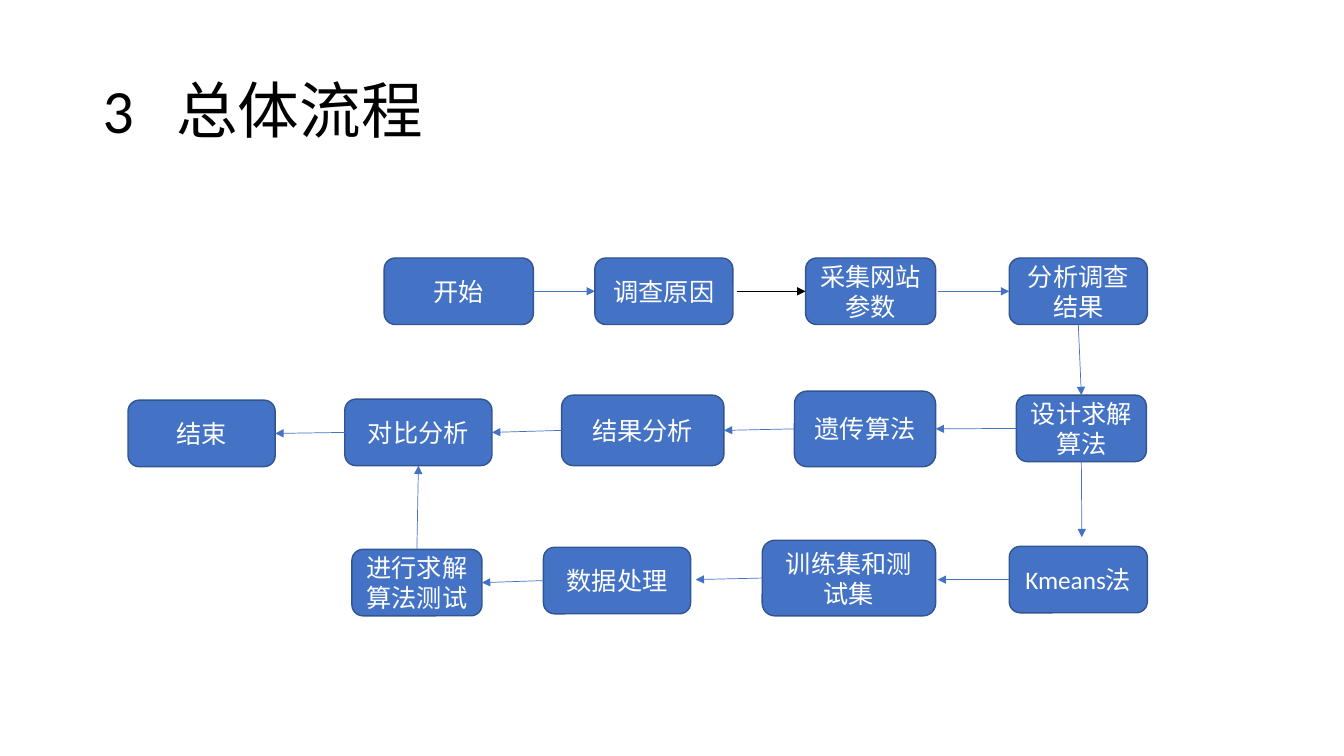
import pptx
import pptx.util
import pptx.dml.color
import pptx.enum.shapes
import pptx.enum.text
import pptx.oxml.ns
from lxml import etree

Inches, Pt = pptx.util.Inches, pptx.util.Pt
RGBColor = pptx.dml.color.RGBColor
BLUE = RGBColor(0x44, 0x72, 0xC4)
DARK_BLUE = RGBColor(0x32, 0x54, 0x91)
BLACK = RGBColor(0, 0, 0)
WHITE = RGBColor(0xFF, 0xFF, 0xFF)
FONT = "Calibri"
TOP, LEFT, BOTTOM, RIGHT = range(4)
STEP_H = 0.66

# Step: left, top, width, height, in inches from the corner of the flow chart
STEPS = {
    "开始": (2.54, 0, 1.48, STEP_H),
    "调查原因": (4.63, 0, 1.37, STEP_H),
    "采集网站参数": (6.72, 0, 1.29, STEP_H),
    "分析调查结果": (8.74, 0, 1.37, STEP_H),
    "设计求解算法": (8.81, 1.36, 1.29, STEP_H),
    "遗传算法": (6.61, 1.32, 1.4, 0.75),
    "结果分析": (4.3, 1.36, 1.61, 0.7),
    "对比分析": (2.15, 1.4, 1.46, STEP_H),
    "结束": (0, 1.41, 1.46, STEP_H),
    "Kmeans法": (8.74, 2.86, 1.37, STEP_H),
    "训练集和测试集": (6.29, 2.8, 1.72, 0.75),
    "数据处理": (4.12, 2.87, 1.46, STEP_H),
    "进行求解算法测试": (2.22, 2.89, 1.29, STEP_H),
}

# Each end is (step, side), or a free point (x, y) that stops short of a step
ARROWS = [
    (("开始", RIGHT), ("调查原因", LEFT), BLUE),
    ((6.04, 0.33), ("采集网站参数", LEFT), BLACK),
    ((8.03, 0.33), ("分析调查结果", LEFT), BLUE),
    (("分析调查结果", BOTTOM), ("设计求解算法", TOP), BLUE),
    (("设计求解算法", LEFT), ("遗传算法", RIGHT), BLUE),
    (("遗传算法", LEFT), ("结果分析", RIGHT), BLUE),
    (("结果分析", LEFT), ("对比分析", RIGHT), BLUE),
    (("对比分析", LEFT), ("结束", RIGHT), BLUE),
    (("设计求解算法", BOTTOM), (9.46, 2.77), BLUE),
    (("Kmeans法", LEFT), (8.03, 3.19), BLUE),
    (("训练集和测试集", LEFT), (5.63, 3.19), BLUE),
    (("数据处理", LEFT), ("进行求解算法测试", RIGHT), BLUE),
    (("进行求解算法测试", TOP), ("对比分析", BOTTOM), BLUE),
]


def add_title(s, x, y, w, h):
    tf = s.shapes.add_textbox(Inches(x), Inches(y), Inches(w), Inches(h)).text_frame
    tf.word_wrap = True
    tf.vertical_anchor = pptx.enum.text.MSO_ANCHOR.MIDDLE
    p = tf.paragraphs[0]
    p.text = "3\t总体流程"
    p.line_spacing = 0.9
    p.font.size, p.font.name = Pt(44), FONT
    p.font.color.rgb = BLACK
    # Tab stop between the number and the heading
    qn = pptx.oxml.ns.qn
    stops = etree.Element(qn("a:tabLst"))
    etree.SubElement(stops, qn("a:tab"), pos=str(Inches(0.73)), algn="l")
    p._p.pPr.find(qn("a:defRPr")).addprevious(stops)


def add_step(s, text, x, y, w, h):
    sp = s.shapes.add_shape(pptx.enum.shapes.MSO_SHAPE.ROUNDED_RECTANGLE,
                            Inches(x), Inches(y), Inches(w), Inches(h))
    sp.shadow.inherit = False
    sp.fill.solid()
    sp.fill.fore_color.rgb = BLUE
    sp.line.color.rgb = DARK_BLUE
    sp.line.width = Pt(1)
    p = sp.text_frame.paragraphs[0]
    p.text = text
    p.alignment = pptx.enum.text.PP_ALIGN.CENTER
    p.font.size, p.font.name = Pt(18), FONT
    p.font.color.rgb = WHITE
    return sp


def side_middle(sp, side):
    across = {LEFT: 0, RIGHT: 1}.get(side, 0.5)
    down = {TOP: 0, BOTTOM: 1}.get(side, 0.5)
    return int(sp.left + across * sp.width), int(sp.top + down * sp.height)


def add_arrow(s, steps, x, y, start, end, color):
    points = [side_middle(steps[a], b) if a in steps else (Inches(x + a), Inches(y + b))
              for a, b in (start, end)]
    line = s.shapes.add_connector(pptx.enum.shapes.MSO_CONNECTOR.STRAIGHT,
                                  *points[0], *points[1])
    for (step, side), connect in ((start, line.begin_connect), (end, line.end_connect)):
        if step in steps:
            connect(steps[step], side)
    line.line.color.rgb = color
    line.line.width = Pt(0.5)
    qn = pptx.oxml.ns.qn
    etree.SubElement(line.line._get_or_add_ln(), qn("a:tailEnd"), type="triangle")
    etree.SubElement(line._element.spPr, qn("a:effectLst"))


def add_flow_chart(s, x, y):
    steps = {text: add_step(s, text, x + left, y + top, w, h)
             for text, (left, top, w, h) in STEPS.items()}
    for start, end, color in ARROWS:
        add_arrow(s, steps, x, y, start, end, color)


def main():
    prs = pptx.Presentation()
    prs.slide_width, prs.slide_height = Inches(13.33), Inches(7.5)
    s = prs.slides.add_slide(prs.slide_layouts[6])
    add_title(s, 0.92, 0.4, 11.5, 1.45)
    add_flow_chart(s, 1.27, 2.56)
    prs.save("out.pptx")


if __name__ == "__main__":
    main()
